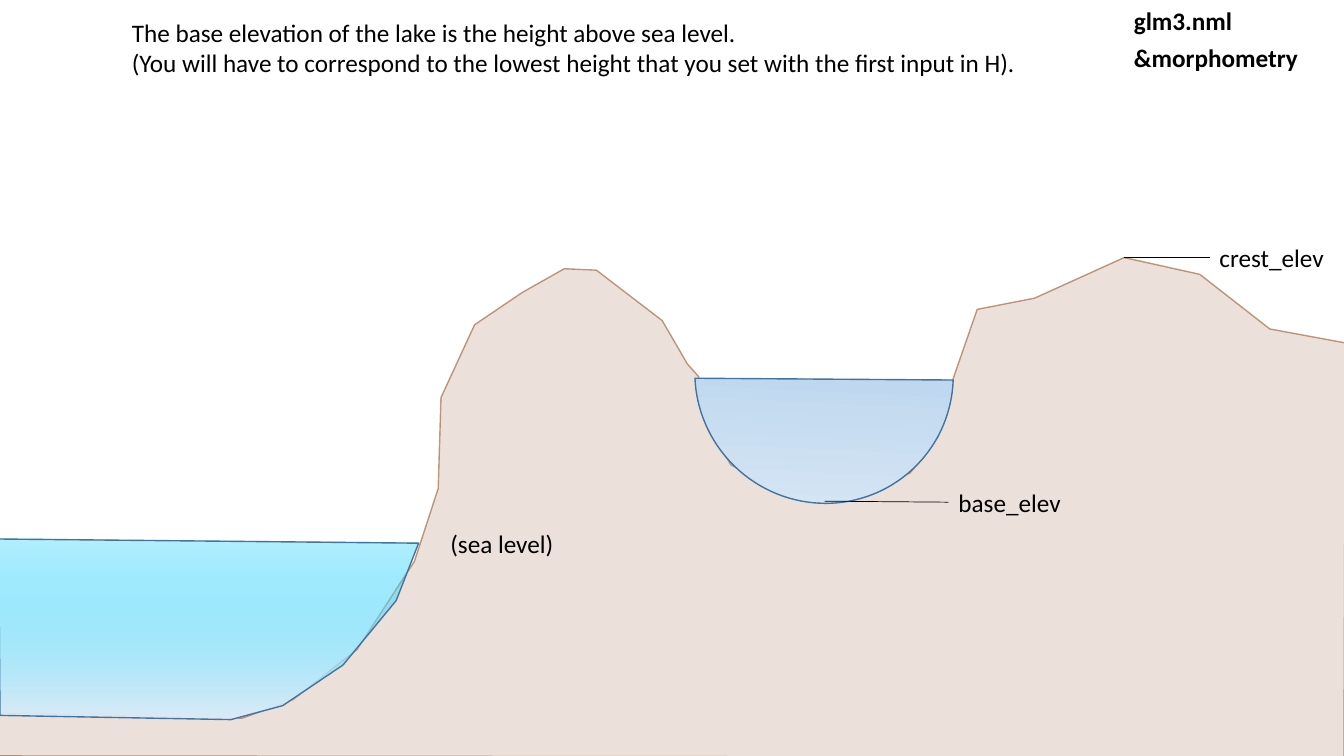
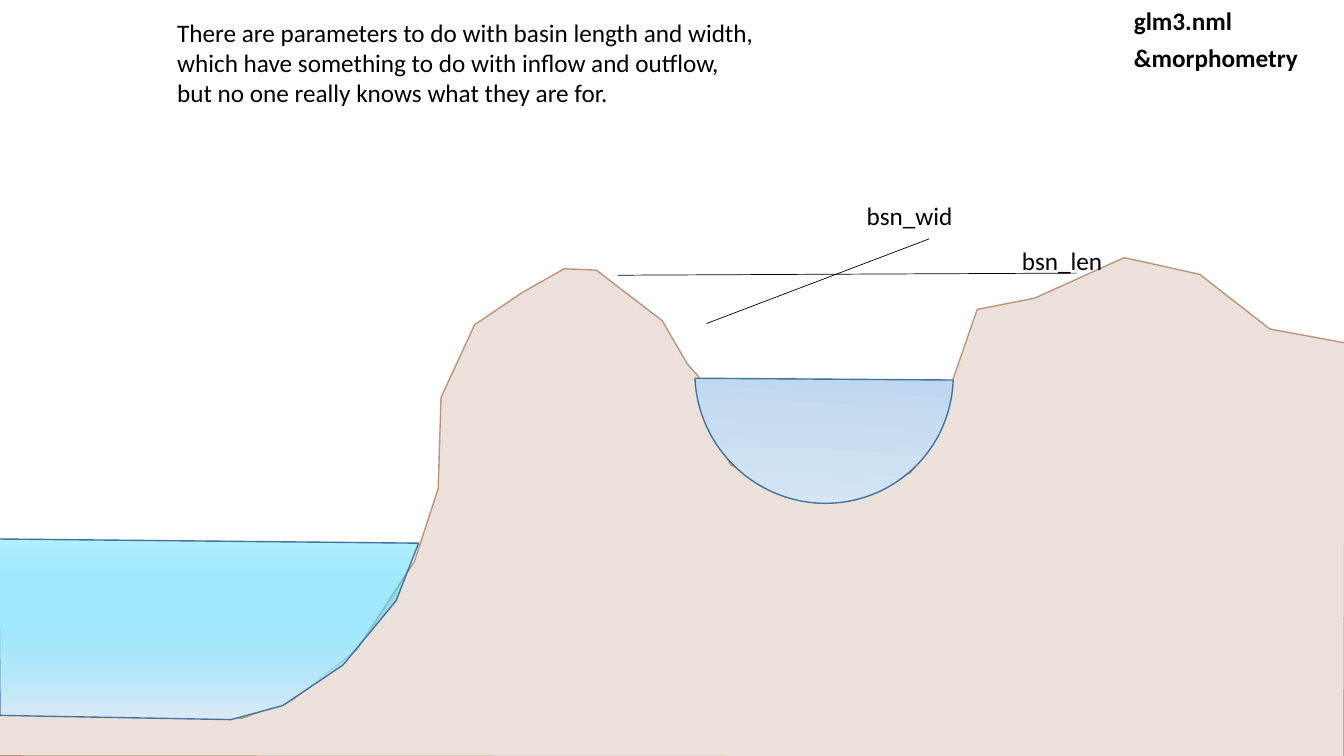
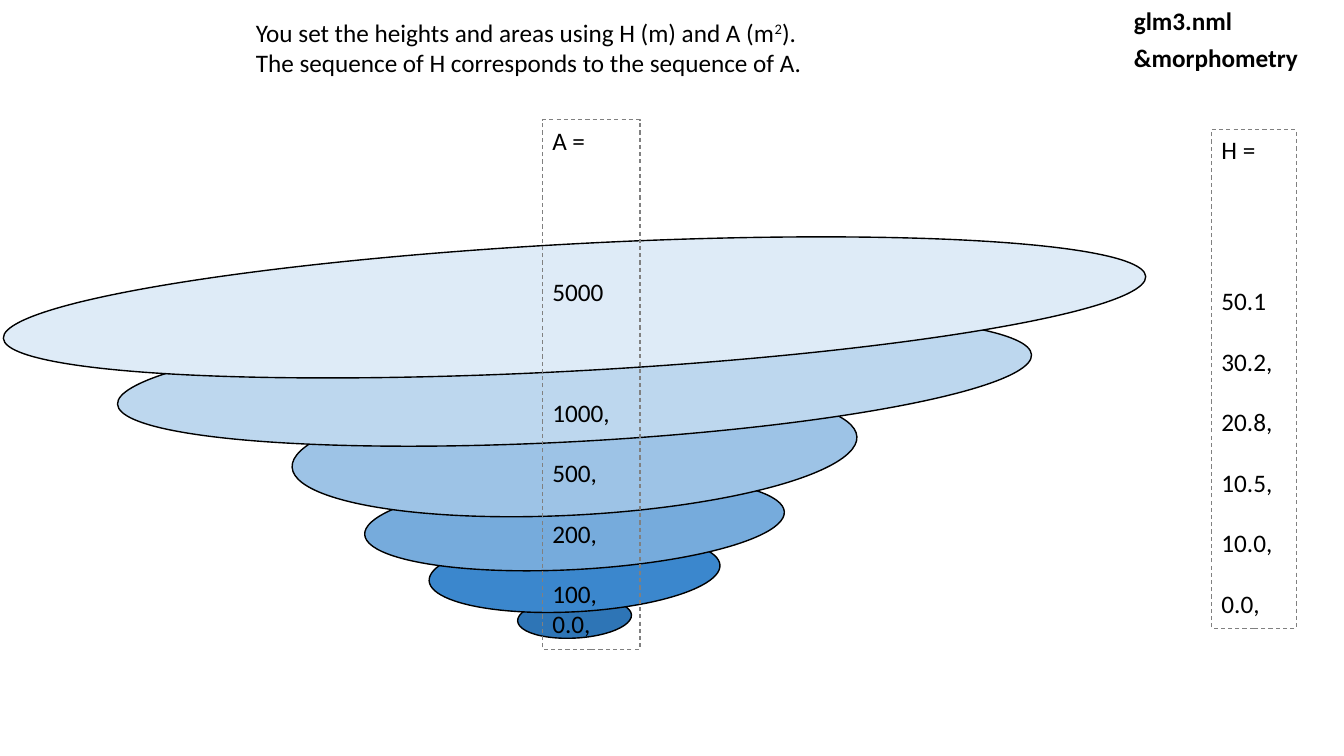
"""Build three slides on the morphometry settings of a lake model."""
from collections import namedtuple
from lxml.etree import SubElement
from pptx import Presentation
from pptx.dml.color import RGBColor
from pptx.enum.dml import MSO_LINE
from pptx.enum.shapes import MSO_CONNECTOR, MSO_SHAPE
from pptx.enum.text import MSO_ANCHOR, MSO_AUTO_SIZE, PP_ALIGN
from pptx.oxml.ns import qn
from pptx.util import Pt


class Theme:
    font = "Calibri"
    size = 18
    row = 21.6
    hairline = 0.5
    frame_line = 0.75
    ink = RGBColor.from_string("000000")
    frame = RGBColor.from_string("808080")
    earth = RGBColor.from_string("843C0B")
    shore = RGBColor.from_string("43739E")
    shallow = RGBColor.from_string("DEEBF7")
    lake = RGBColor.from_string("9DC3E6")
    sea = RGBColor.from_string("00CCFF")
    depths = [RGBColor.from_string(code) for code in
              ("DEEBF7", "BDD7EE", "9DC3E6", "76ABDC", "3B87CD", "2E75B6")]


def write(slide, box, rows, bold=False):
    """Write rows of (text, empty rows above) in a box; ^ marks switch superscript."""
    label = slide.shapes.add_textbox(*map(Pt, box))
    frame_format = {"word_wrap": True, "auto_size": MSO_AUTO_SIZE.SHAPE_TO_FIT_TEXT,
                    "vertical_anchor": MSO_ANCHOR.TOP}
    for name, value in frame_format.items():
        setattr(label.text_frame, name, value)
    for index, (text, gap) in enumerate(rows):
        paragraph = label.text_frame.add_paragraph() if index else label.text_frame.paragraphs[0]
        paragraph.alignment = PP_ALIGN.LEFT
        paragraph.space_before = Pt(gap * Theme.row)
        for part, piece in enumerate(text.split("^")):
            run = paragraph.add_run()
            run.text = piece
            font_format = {"name": Theme.font, "size": Pt(Theme.size), "bold": bold}
            for name, value in font_format.items():
                setattr(run.font, name, value)
            run.font.color.rgb = Theme.ink
            if part % 2:
                run._r.get_or_add_rPr().set("baseline", "30000")
    return label


def outline(shape, color, width=1):
    """Give a shape a plain line and no shadow."""
    shape.shadow.inherit = False
    shape.line.color.rgb = color
    shape.line.width = Pt(width)


WIDTH, HEIGHT = 960, 540
LABEL_WIDTH, LABEL_HEIGHT = 95.8, 29
BLEED = 1

deck = Presentation()
deck.slide_width, deck.slide_height = Pt(WIDTH), Pt(HEIGHT)
elevation, basin, areas = [deck.slides.add_slide(deck.slide_layouts[6]) for _ in range(3)]

lake_floor = (589, 358)
crest = (803, 184)
basin_east = [lake_floor, (650, 338), (670, 312), (681, 270)]
east_hill = [(698, 221), (739, 213), crest, (857, 196), (907, 235), (WIDTH + BLEED, 245)]
underground = [(WIDTH, HEIGHT + BLEED), (-BLEED, HEIGHT), (-BLEED, 509)]
coast = [(173, 513), (209, 500), (255, 464), (296, 401), (313, 349)]
west_hill = [(315, 284), (339, 232), (373, 209), (403, 192), (426, 193), (473, 229), (491, 260)]
basin_west = [(499, 269), (510, 311), (522, 332), (553, 348), (596, 358), (601, 357)]
land_outline = basin_east + east_hill + underground + coast + west_hill + basin_west

sea_surface = [(299, 388), (-BLEED, 385)]
sea_bed = [(0, 511), (165, 514), (202, 504), (245, 475), (283, 429)]
sea_outline = sea_surface + sea_bed

for slide in (elevation, basin):
    land, sea = [], []
    for corners, closed, region in ((land_outline, False, land), (sea_outline, True, sea)):
        (start_x, start_y), *others = [(Pt(x), Pt(y)) for x, y in corners]
        builder = slide.shapes.build_freeform(start_x, start_y)
        builder.add_line_segments(others, close=closed)
        region.append(builder.convert_to_shape())
    land, sea = land[0], sea[0]

    lake = slide.shapes.add_shape(MSO_SHAPE.CHORD, Pt(496.8), Pt(174.2), Pt(183.6), Pt(185.8))
    lake.rotation = 317.7
    lake.adjustments[0], lake.adjustments[1] = 27, 132.24

    land.fill.solid()
    land.fill.fore_color.rgb = Theme.earth
    outline(land, Theme.earth)
    for water, deep, angle in ((lake, Theme.lake, 45), (sea, Theme.sea, 90)):
        water.fill.gradient()
        water.fill.gradient_angle = angle
        for stop, color, position in zip(water.fill.gradient_stops, (Theme.shallow, deep), (0, 1)):
            stop.color.rgb = color
            stop.position = position
        outline(water, Theme.shore)

    land_fill, land_line = land._element.spPr.iter(qn("a:srgbClr"))
    sea_shallow, sea_deep, sea_line = sea._element.spPr.iter(qn("a:srgbClr"))
    for color, percent in ((land_fill, 15), (land_line, 50), (sea_deep, 30)):
        SubElement(color, qn("a:alpha")).set("val", str(percent * 1000))

write(elevation, (314.6, 373.7, LABEL_WIDTH, LABEL_HEIGHT), [("(sea level)", 0)])
lines = []
for parameter, start, end in (("base_elev", lake_floor, (677.5, 358.7)),
                              ("crest_elev", crest, (864, 184))):
    left, middle = end
    label = write(elevation, (left, middle - LABEL_HEIGHT / 2, LABEL_WIDTH, LABEL_HEIGHT),
                  [(parameter, 0)])
    leader = elevation.shapes.add_connector(MSO_CONNECTOR.STRAIGHT, *map(Pt, start + end))
    leader.end_connect(label, 1)
    lines.append(leader)

for parameter, corner, start, end in (
        ("bsn_len", (722.9, 172), (441.4, 196.6), (769, 195.1)),
        ("bsn_wid", (612, 139.7), (504.7, 231.1), (663.8, 170.6))):
    lines.append(basin.shapes.add_connector(MSO_CONNECTOR.STRAIGHT, *map(Pt, start + end)))
    write(basin, (*corner, LABEL_WIDTH, LABEL_HEIGHT), [(parameter, 0)])

for line in lines:
    line.line.color.rgb = Theme.ink
    line.line.width = Pt(Theme.hairline)
    SubElement(line._element.spPr, qn("a:effectLst"))

Layer = namedtuple("Layer", "middle width height")
layers_from_top = [Layer(219.6, 817.2, 90.7), Layer(271.1, 653.8, 88.6), Layer(322.9, 404, 90),
                   Layer(373.7, 300.2, 66.2), Layer(409.3, 208, 55.4), Layer(441.4, 81.4, 28.8)]
lake_axis = 410.4
for layer, color in reversed(list(zip(layers_from_top, Theme.depths))):
    disc = areas.shapes.add_shape(
        MSO_SHAPE.OVAL, Pt(lake_axis - layer.width / 2), Pt(layer.middle - layer.height / 2),
        Pt(layer.width), Pt(layer.height))
    disc.rotation = 356.9
    disc.fill.solid()
    disc.fill.fore_color.rgb = color
    outline(disc, Theme.ink)

heights = [("H =", 0), ("50.1", 4), ("30.2,", 1), ("20.8,", 1), ("10.5,", 1), ("10.0,", 1), ("0.0,", 1)]
surfaces = [("A =", 0), ("5000", 4), ("1000,", 3), ("500,", 1), ("200,", 1), ("100,", 1), ("0.0,", 0)]
for values, box in ((heights, (865.4, 92.5, 60.5, 356.4)), (surfaces, (387.4, 85.7, 69.8, 378))):
    column = write(areas, box, values)
    outline(column, Theme.frame, Theme.frame_line)
    column.line.dash_style = MSO_LINE.DASH

intros = [
    (elevation, 87.1, 708.5, [
        "The base elevation of the lake is the height above sea level.",
        "(You will have to correspond to the lowest height that you set with the first input in H)."]),
    (basin, 119.5, 643.7, [
        "There are parameters to do with basin length and width,",
        "which have something to do with inflow and outflow,",
        "but no one really knows what they are for."]),
    (areas, 175.7, 532, [
        "You set the heights and areas using H (m) and A (m^2^).",
        "The sequence of H corresponds to the sequence of A."]),
]
for slide, left, width, sentences in intros:
    intro_height = len(sentences) * Theme.row + 7.2
    write(slide, (left, 8.6, width, intro_height), [(sentence, 0) for sentence in sentences])
    for top, heading in ((0, "glm3.nml"), (26.6, "&morphometry")):
        write(slide, (802.8, top, 142, LABEL_HEIGHT), [(heading, 0)], bold=True)

deck.save("out.pptx")
